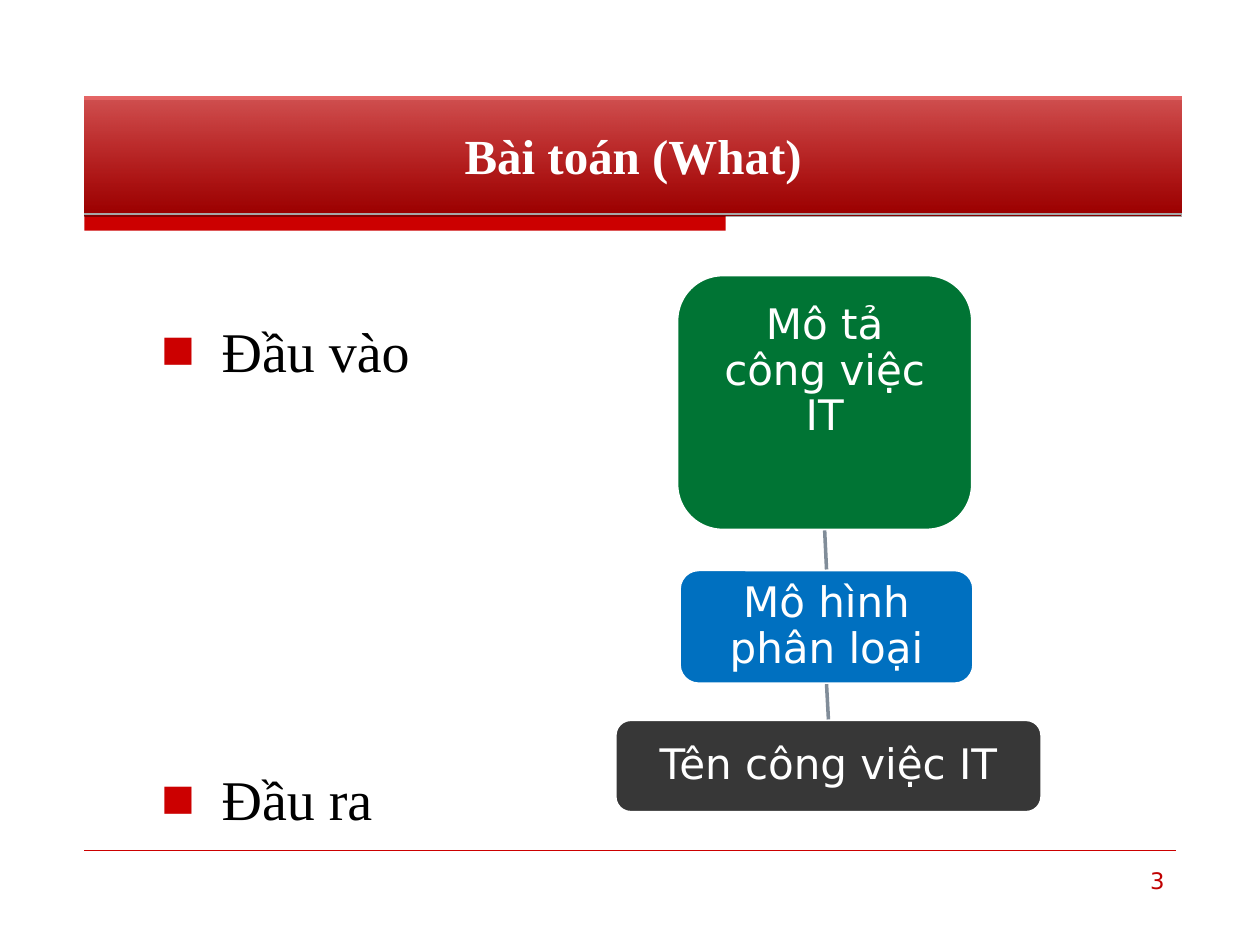
from dataclasses import dataclass

from lxml import etree
from pptx import Presentation
from pptx.dml.color import RGBColor
from pptx.enum.shapes import MSO_CONNECTOR, MSO_SHAPE
from pptx.enum.text import MSO_ANCHOR, PP_ALIGN
from pptx.oxml.ns import qn
from pptx.util import Inches, Pt

RECT, ROUNDED = MSO_SHAPE.RECTANGLE, MSO_SHAPE.ROUNDED_RECTANGLE
STRAIGHT = MSO_CONNECTOR.STRAIGHT
TOP, MIDDLE = MSO_ANCHOR.TOP, MSO_ANCHOR.MIDDLE
LEFT, CENTER, RIGHT = PP_ALIGN.LEFT, PP_ALIGN.CENTER, PP_ALIGN.RIGHT
SIDE_TOP, SIDE_BOTTOM = 0, 2


@dataclass(frozen=True)
class Theme:
    serif: str = "Times New Roman"
    sans: str = "DejaVu Sans"
    red: str = "CC0000"
    title_dark: str = "9D0000"
    title_light: str = "D30000"
    number: str = "C00000"
    white: str = "FFFFFF"
    black: str = "000000"
    green: str = "007434"
    blue: str = "0070C0"
    dark: str = "373737"
    link: str = "818D99"
    title_size: int = 28
    body_size: int = 32
    box_size: int = 24
    number_size: int = 13


def child(parent, tag, **attrs):
    return etree.SubElement(parent, qn(tag), {k: str(v) for k, v in attrs.items()})


class SlideBuilder:
    def __init__(self, slide, theme):
        self.slide = slide
        self.theme = theme

    def fill_text(self, s, lines, font, size, color, align=LEFT, anchor=TOP,
                  bold=False, insets=(0.1, 0.05, 0.1, 0.05), spacing=None, gap=0,
                  bullet=None):
        tf = s.text_frame
        left, top, right, bottom = map(Inches, insets)
        frame = {"word_wrap": True, "vertical_anchor": anchor, "margin_left": left,
                 "margin_top": top, "margin_right": right, "margin_bottom": bottom}
        for name, value in frame.items():
            setattr(tf, name, value)
        for i, line in enumerate(lines):
            p = tf.add_paragraph() if i else tf.paragraphs[0]
            p.alignment = align
            if spacing:
                p.line_spacing = spacing
            if i:
                p.space_before = Pt(gap)
            if bullet:
                self.bullet(p, bullet)
            r = p.add_run()
            r.text = line
            for name, value in {"name": font, "size": Pt(size), "bold": bold}.items():
                setattr(r.font, name, value)
            r.font.color.rgb = RGBColor.from_string(color)

    def bullet(self, p, char):
        pPr = p._p.get_or_add_pPr()
        pPr.set("marL", str(Inches(0.99)))
        pPr.set("indent", str(Inches(-0.48)))
        child(child(pPr, "a:buClr"), "a:srgbClr", val=self.theme.red)
        child(pPr, "a:buFont", typeface=self.theme.serif)
        child(pPr, "a:buChar", char=char)

    def text(self, place, lines, **style):
        s = self.slide.shapes.add_textbox(*map(Inches, place))
        self.fill_text(s, lines, **style)

    def shape(self, kind, place, fill, line=None, width=2):
        s = self.slide.shapes.add_shape(kind, *map(Inches, place))
        s.shadow.inherit = False
        s.fill.solid()
        s.fill.fore_color.rgb = RGBColor.from_string(fill)
        if line:
            s.line.color.rgb = RGBColor.from_string(line)
            s.line.width = Pt(width)
        else:
            s.line.fill.background()
        return s

    def title(self, place, text):
        t = self.theme
        s = self.shape(RECT, place, t.title_dark)
        s.fill.gradient()
        s.fill.gradient_angle = 90
        for stop, color, position in zip(s.fill.gradient_stops,
                                         (t.title_dark, t.title_light), (0, 1)):
            stop.color.rgb = RGBColor.from_string(color)
            stop.position = position
        light = s._element.spPr.findall(".//" + qn("a:srgbClr"))[-1]
        child(light, "a:alpha", val=60000)
        effects = s._element.spPr.find(qn("a:effectLst"))
        shadow = child(effects, "a:outerShdw", blurRad=0, dist=Pt(1.8), dir=5400000,
                       rotWithShape=0)
        child(child(shadow, "a:srgbClr", val=t.black), "a:alpha", val=35000)
        self.fill_text(s, [text], t.serif, t.title_size, t.white, CENTER, MIDDLE,
                       bold=True)

    def box(self, place, text, fill, inset, bottom=None, corner=0.17):
        t = self.theme
        s = self.shape(ROUNDED, place, fill, t.white)
        s.adjustments[0] = corner
        self.fill_text(s, [text], t.sans, t.box_size, t.white, CENTER, MIDDLE,
                       insets=(inset, inset, inset, bottom or inset), spacing=0.9)
        return s

    def line(self, ends, color, width):
        c = self.slide.shapes.add_connector(STRAIGHT, *map(Inches, ends))
        c.line.color.rgb = RGBColor.from_string(color)
        c.line.width = Pt(width)
        child(c._element.spPr, "a:effectLst")
        return c

    def link(self, upper, lower):
        c = self.line((0, 0, 1, 1), self.theme.link, 2)
        c.begin_connect(upper, SIDE_BOTTOM)
        c.end_connect(lower, SIDE_TOP)


def main():
    prs = Presentation()
    prs.slide_width, prs.slide_height = Inches(10), Inches(7.5)
    t = Theme()
    b = SlideBuilder(prs.slides.add_slide(prs.slide_layouts[6]), t)

    b.shape(RECT, (0.67, 1.71, 5.09, 0.12), t.red)
    b.line((0.67, 1.71, 9.37, 1.71), t.red, 0.75)
    b.line((0.67, 6.75, 9.33, 6.75), t.red, 0.25)
    b.title((0.67, 0.77, 8.71, 0.92), "Bài toán (What)")
    b.text((0.67, 2.46, 8.75, 4.27), ["Đầu vào", "Đầu ra"], font=t.serif,
           size=t.body_size, color=t.black, gap=218, bullet="■")
    b.text((7.17, 6.83, 2.17, 0.52), ["3"], font=t.sans, size=t.number_size,
           color=t.number, align=RIGHT)

    model = b.box((5.39, 4.52, 2.34, 0.91), "Mô hình phân loại", t.blue, 0.12)
    source = b.box((5.37, 2.18, 2.35, 2.03), "Mô tả công việc IT", t.green, 0.18,
                   bottom=0.67, corner=0.18)
    result = b.box((4.88, 5.71, 3.39, 0.74), "Tên công việc IT", t.dark, 0.14)
    b.link(source, model)
    b.link(model, result)

    prs.save("out.pptx")


if __name__ == "__main__":
    main()
